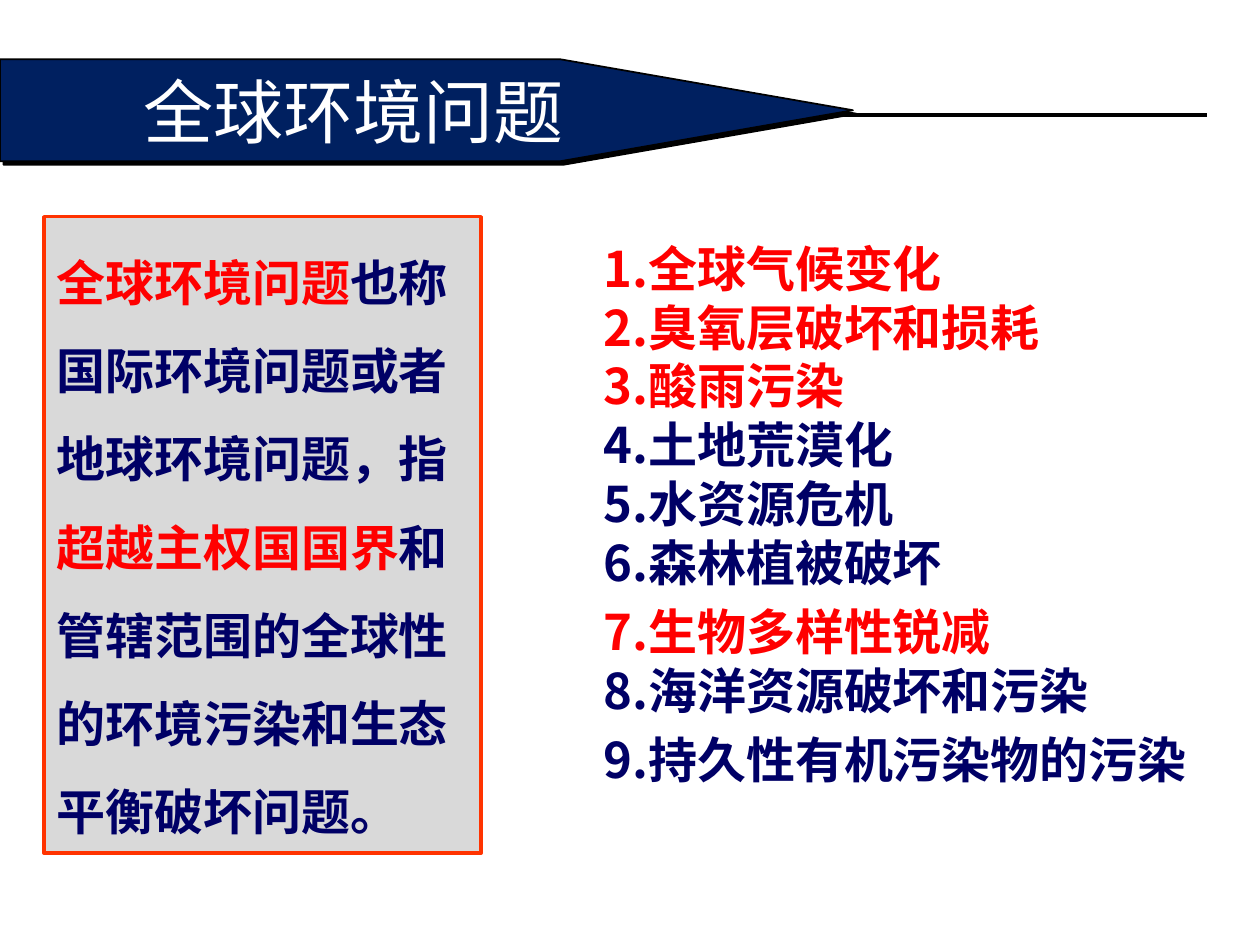
from lxml import etree
from pptx import Presentation
from pptx.dml.color import RGBColor
from pptx.enum.shapes import MSO_CONNECTOR, MSO_SHAPE
from pptx.enum.text import MSO_ANCHOR, MSO_AUTO_SIZE, PP_ALIGN
from pptx.oxml.ns import qn
from pptx.util import Inches, Pt

RED = RGBColor(0xFF, 0x00, 0x00)
NAVY = RGBColor(0x00, 0x00, 0x66)
BANNER_BLUE = RGBColor(0x00, 0x20, 0x60)
GREY = RGBColor(0xD9, 0xD9, 0xD9)
ORANGE = RGBColor(0xFF, 0x33, 0x00)
BLACK = RGBColor(0x00, 0x00, 0x00)
WHITE = RGBColor(0xFF, 0xFF, 0xFF)
HEADING_FONT, TEXT_FONT = "Arial", "Noto Sans CJK SC"

# Content: a paragraph is a list of (text, colour); \v is a line break
TITLE = "全球环境问题"
DEFINITION = [
    ("全球环境问题", RED),
    ("也称国际环境问题或者地球环境问题，指", NAVY),
    ("超越主权国国界", RED),
    ("和管辖范围的全球性的环境污染和生态平衡破坏问题。", NAVY),
]
PROBLEMS = [
    [("1.全球气候变化\v2.臭氧层破坏和损耗\v3.酸雨污染\v", RED),
     ("4.土地荒漠化\v5.水资源危机\v6.森林植被破坏", NAVY)],
    [("7.生物多样性锐减\v", RED), ("8.海洋资源破坏和污染", NAVY)],
    [("9.持久性有机污染物的污染", NAVY)],
]

# Layout in inches
BANNER_TOP, BANNER_WIDTH, BANNER_HEIGHT = 0.47, 6.77, 0.81
POINT_RATIO = 2.87
TITLE_WIDTH = BANNER_WIDTH - POINT_RATIO * BANNER_HEIGHT / 2
RULE_Y, RULE_MARGIN = 0.91, 0.42


def place(shape, left, top, width, height):
    shape.left, shape.top = Inches(left), Inches(top)
    shape.width, shape.height = Inches(width), Inches(height)


def style_run(run, colour):
    run.font.size = Pt(28)
    run.font.bold = True
    run.font.color.rgb = colour
    run.font.name = TEXT_FONT
    east_asian = etree.SubElement(run.font._element, qn("a:ea"))
    east_asian.set("typeface", TEXT_FONT)


def fill_paragraph(paragraph, pieces):
    for text, colour in pieces:
        for number, line in enumerate(text.split("\v")):
            if number:
                paragraph.add_line_break()
            if line:
                run = paragraph.add_run()
                run.text = line
                style_run(run, colour)


def prepare_frame(frame, anchor):
    frame.word_wrap = True
    frame.auto_size = MSO_AUTO_SIZE.NONE
    frame.vertical_anchor = anchor


prs = Presentation()
prs.slide_width, prs.slide_height = Inches(10), Inches(7.5)
slide = prs.slides.add_slide(prs.slide_layouts[1])
title, problems = slide.placeholders

# Definition box
definition = slide.shapes.add_shape(
    MSO_SHAPE.RECTANGLE, Inches(0.35), Inches(1.72), Inches(3.47), Inches(5.05))
definition.shadow.inherit = False
definition.fill.solid()
definition.fill.fore_color.rgb = GREY
definition.line.color.rgb = ORANGE
definition.line.width = Pt(2)
prepare_frame(definition.text_frame, MSO_ANCHOR.TOP)
paragraph = definition.text_frame.paragraphs[0]
paragraph.alignment = PP_ALIGN.LEFT
paragraph.line_spacing = 1.5
fill_paragraph(paragraph, DEFINITION)

# Rule behind the banner
rule = slide.shapes.add_connector(
    MSO_CONNECTOR.STRAIGHT, Inches(RULE_MARGIN), Inches(RULE_Y),
    Inches(10 - RULE_MARGIN), Inches(RULE_Y))
rule.line.color.rgb = BLACK
rule.line.width = Pt(2.25)
etree.SubElement(rule._element.spPr, qn("a:effectLst"))

# Banner with a hard shadow
banner = slide.shapes.add_shape(
    MSO_SHAPE.PENTAGON, 0, Inches(BANNER_TOP),
    Inches(BANNER_WIDTH), Inches(BANNER_HEIGHT))
banner.adjustments[0] = POINT_RATIO
banner.fill.solid()
banner.fill.fore_color.rgb = BANNER_BLUE
banner.line.color.rgb = BLACK
banner.line.width = Pt(1)
banner.shadow.inherit = False
effects = banner._element.spPr.find(qn("a:effectLst"))
shadow = etree.SubElement(
    effects, qn("a:outerShdw"), dist=str(Pt(2.8)), dir="2700000",
    algn="ctr", rotWithShape="0")
etree.SubElement(shadow, qn("a:srgbClr"), val=str(BLACK))

# Title, moved in front of the banner
banner._element.addnext(title._element)
place(title, 0, BANNER_TOP, TITLE_WIDTH, BANNER_HEIGHT)
title.text_frame.text = TITLE
prepare_frame(title.text_frame, MSO_ANCHOR.MIDDLE)
title.text_frame.margin_left = title.text_frame.margin_right = 0
heading = title.text_frame.paragraphs[0]
heading.alignment = PP_ALIGN.CENTER
heading.runs[0].font.size = Pt(40)
heading.runs[0].font.name = HEADING_FONT
heading.runs[0].font.color.rgb = WHITE

# List of problems
place(problems, 4.69, 1.84, 4.92, 4.51)
problems.fill.solid()
problems.fill.fore_color.rgb = WHITE
frame = problems.text_frame
prepare_frame(frame, MSO_ANCHOR.TOP)
for number, pieces in enumerate(PROBLEMS):
    paragraph = frame.add_paragraph() if number else frame.paragraphs[0]
    properties = paragraph._p.get_or_add_pPr()
    properties.set("marL", "0")
    properties.set("indent", "0")
    etree.SubElement(properties, qn("a:buNone"))
    paragraph.space_before = Pt(6 if number else 0)
    fill_paragraph(paragraph, pieces)

prs.save("out.pptx")
